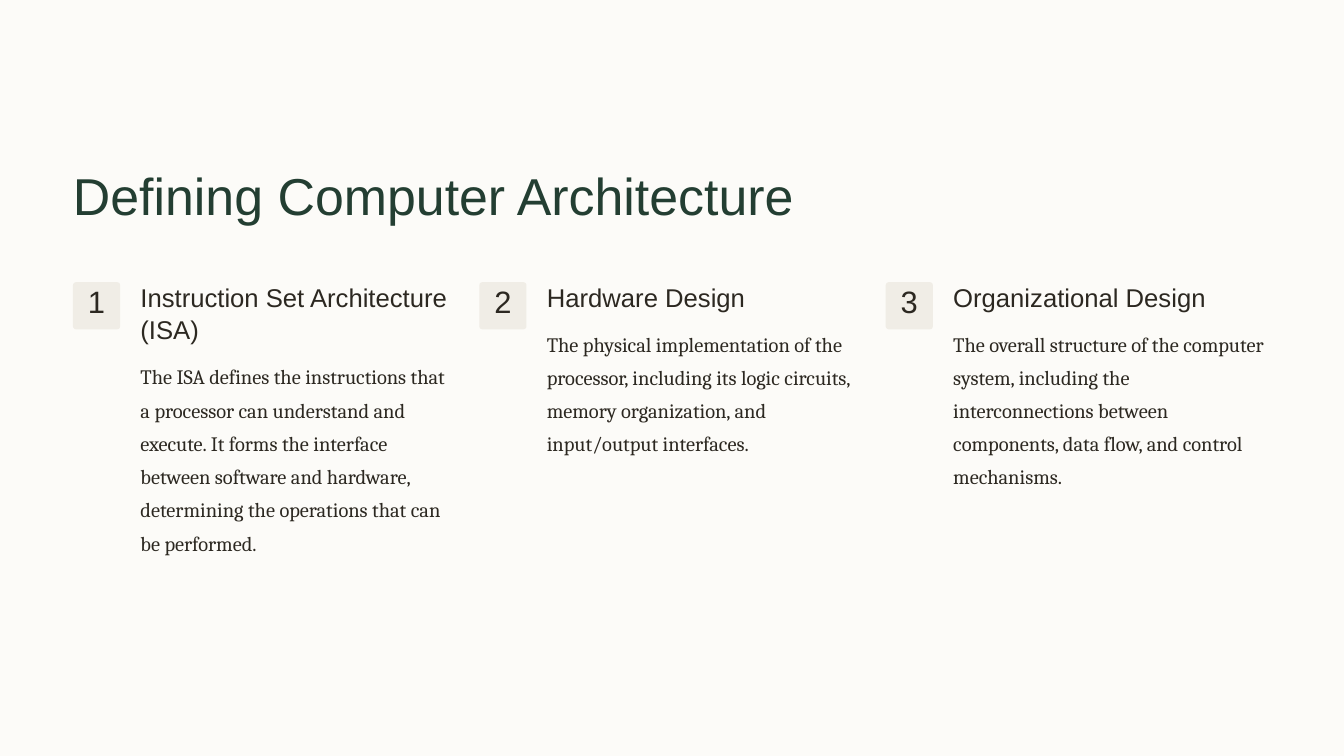
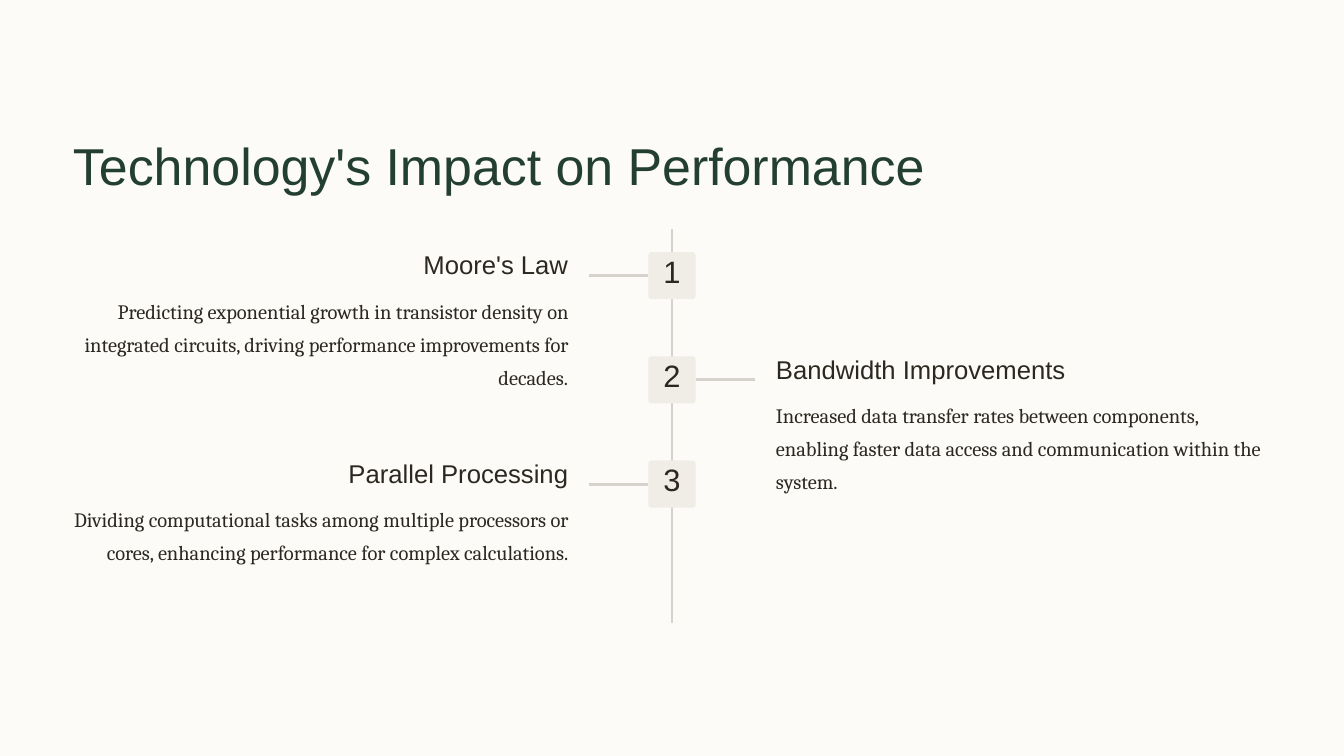
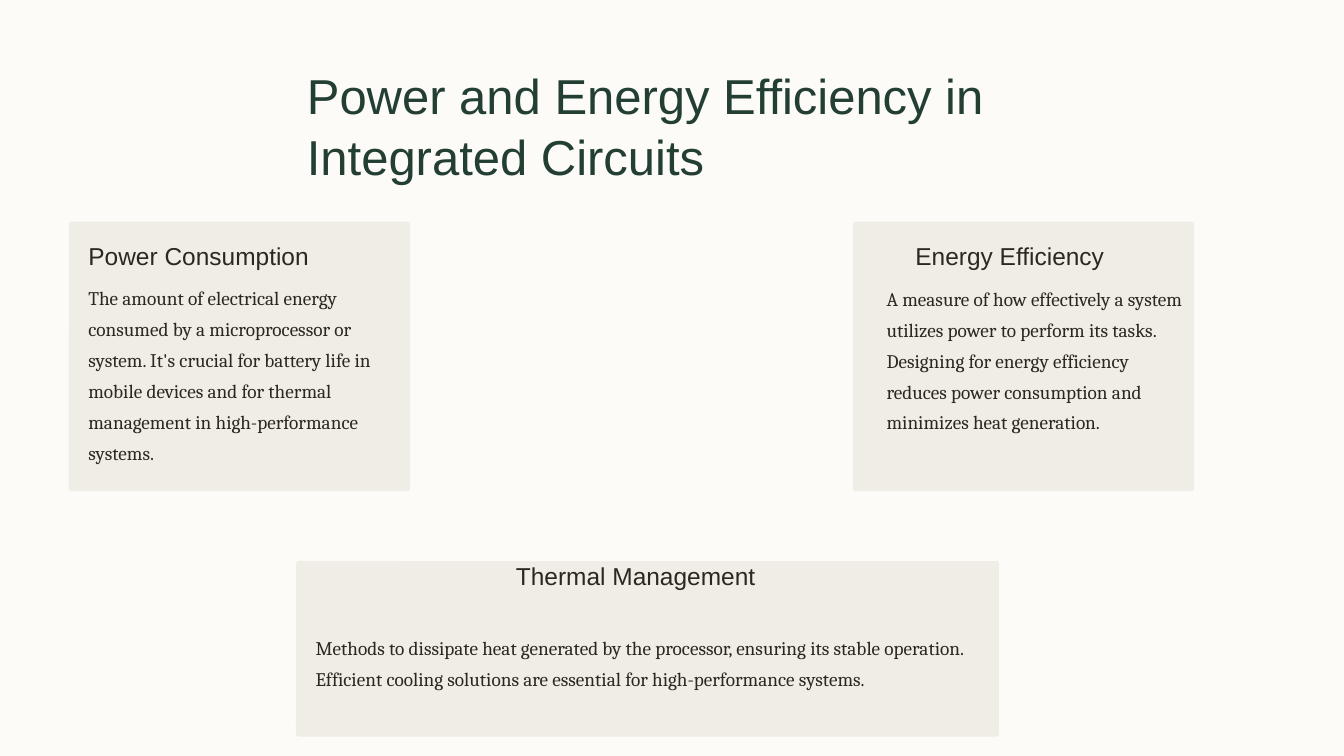
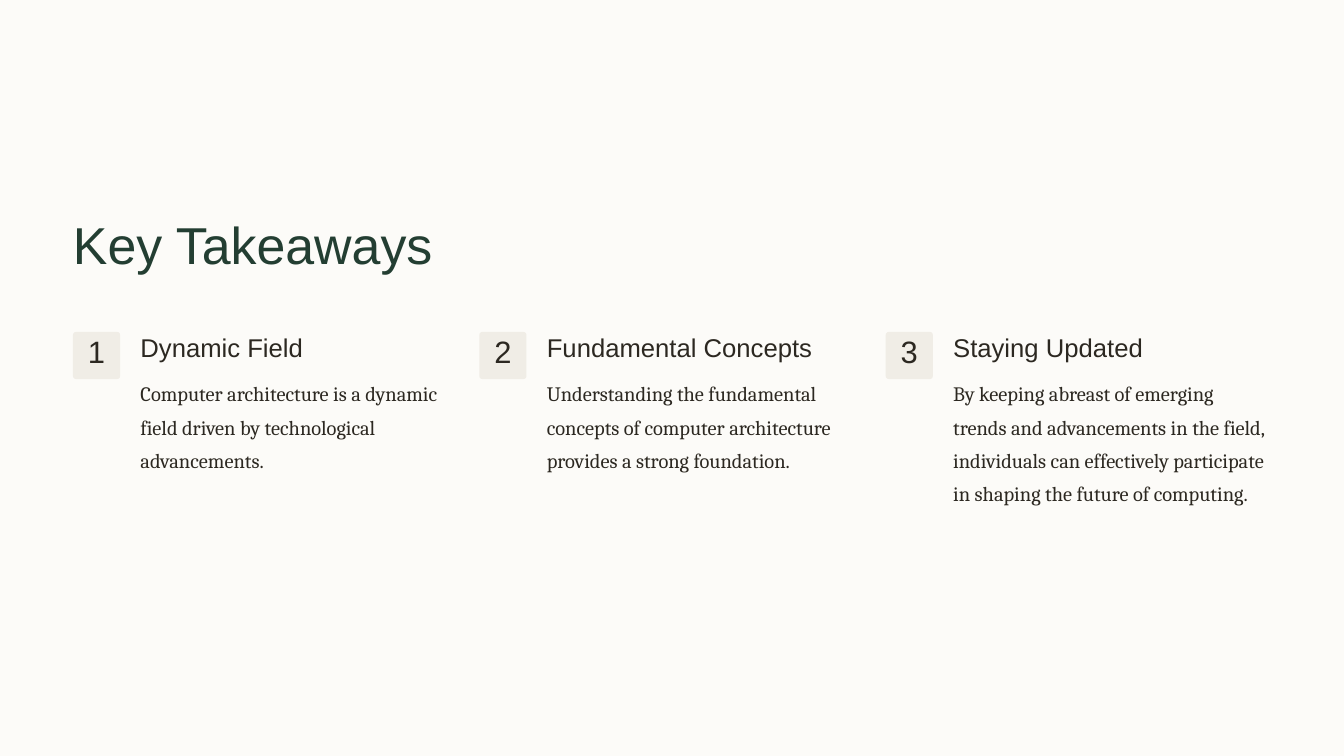
from collections import namedtuple

from lxml import etree
from pptx import Presentation
from pptx.dml.color import RGBColor
from pptx.enum import shapes, text
from pptx.oxml import ns
from pptx.util import Cm, Pt

CREAM = RGBColor(0xFC, 0xFB, 0xF8)
SAND = RGBColor(0xF0, 0xED, 0xE6)
STONE = RGBColor(0xD6, 0xD3, 0xCC)
GREEN = RGBColor(0x23, 0x3E, 0x32)
INK = RGBColor(0x2C, 0x28, 0x21)

LEFT, RIGHT, CENTER = text.PP_ALIGN.LEFT, text.PP_ALIGN.RIGHT, text.PP_ALIGN.CENTER

# All boxes are in centimetres, type sizes and line spacing in points.
Box = namedtuple("Box", "left top width height")
Style = namedtuple("Style", "font size spacing color")
Item = namedtuple("Item", "heading body body_lines heading_lines", defaults=[1])
Card = namedtuple("Card", "box heading heading_at body body_at")

TITLE = Style("Arial", 55.6, 69.4, GREEN)
TITLE_SMALL = Style("Arial", 52.5, 65.6, GREEN)
NUMBER = Style("Arial", 33.1, 33.1, INK)
HEADING = Style("Arial", 27.5, 34.4, INK)
BODY = Style("Cambria", 21.85, 35.62, INK)
CARD_HEADING = Style("Arial", 26.25, 32.5, INK)
CARD_BODY = Style("Cambria", 20.62, 33.1, INK)

PAGE = Box(0, 0, 50.8, 28.58)
MARGIN = 2.76
BADGE = 1.78
COLUMN_PITCH = 15.36
HEADING_LINE = 1.24
BODY_LINE = 1.26
BODY_DROP = 1.59
EVENT_PITCH = 3.94
EVENT_GAP = 3.93
SPOKE = 2.26

DEFINITIONS = [
    Item("Instruction Set Architecture (ISA)",
         "The ISA defines the instructions that a processor can understand and "
         "execute. It forms the interface between software and hardware, "
         "determining the operations that can be performed.", 7, 2),
    Item("Hardware Design",
         "The physical implementation of the processor, including its logic "
         "circuits, memory organization, and input/output interfaces.", 4),
    Item("Organizational Design",
         "The overall structure of the computer system, including the "
         "interconnections between components, data flow, and control "
         "mechanisms.", 5),
]
IMPACTS = [
    Item("Moore's Law",
         "Predicting exponential growth in transistor density on integrated "
         "circuits, driving performance improvements for decades.", 3),
    Item("Bandwidth Improvements",
         "Increased data transfer rates between components, enabling faster "
         "data access and communication within the system.", 3),
    Item("Parallel Processing",
         "Dividing computational tasks among multiple processors or cores, "
         "enhancing performance for complex calculations.", 3),
]
EFFICIENCY = [
    Card(Box(2.6, 8.38, 12.9, 10.19),
         "Power Consumption", Box(0.74, 0.69, 9.27, 1.19),
         "The amount of electrical energy consumed by a microprocessor or "
         "system. It's crucial for battery life in mobile devices and for "
         "thermal management in high-performance systems.",
         Box(0.74, 2.16, 11.43, 7.29)),
    Card(Box(32.24, 8.38, 12.9, 10.19),
         "Energy Efficiency", Box(2.36, 0.69, 9.27, 1.19),
         "A measure of how effectively a system utilizes power to perform its "
         "tasks. Designing for energy efficiency reduces power consumption and "
         "minimizes heat generation.",
         Box(1.27, 2.18, 11.43, 7.29)),
    Card(Box(11.19, 21.21, 26.57, 6.64),
         "Thermal Management", Box(8.31, -0.05, 9.27, 1.19),
         "Methods to dissipate heat generated by the processor, ensuring its "
         "stable operation. Efficient cooling solutions are essential for "
         "high-performance systems.",
         Box(0.74, 2.54, 25.1, 3.73)),
]
TAKEAWAYS = [
    Item("Dynamic Field",
         "Computer architecture is a dynamic field driven by technological "
         "advancements.", 3),
    Item("Fundamental Concepts",
         "Understanding the fundamental concepts of computer architecture "
         "provides a strong foundation.", 4),
    Item("Staying Updated",
         "By keeping abreast of emerging trends and advancements in the field, "
         "individuals can effectively participate in shaping the future of "
         "computing.", 5),
]


def in_cm(box):
    return [Cm(length) for length in box]


def write(shape, words, style, align=LEFT, inset_top=0):
    """Fill a shape with one top-anchored paragraph of fixed line spacing."""
    frame = shape.text_frame
    frame.word_wrap = True
    frame.vertical_anchor = text.MSO_ANCHOR.TOP
    frame.margin_left = frame.margin_right = frame.margin_bottom = 0
    frame.margin_top = Cm(inset_top)
    paragraph = frame.paragraphs[0]
    paragraph.text = words
    paragraph.alignment = align
    paragraph.line_spacing = Pt(style.spacing)
    paragraph.font.name = style.font
    paragraph.font.size = Pt(style.size)
    paragraph.font.color.rgb = style.color


def add_text(slide, box, words, style, align=LEFT):
    write(slide.shapes.add_textbox(*in_cm(box)), words, style, align)


def add_filled(slide, preset, box, color):
    area = slide.shapes.add_shape(preset, *in_cm(box))
    area.shadow.inherit = False
    area.fill.solid()
    area.fill.fore_color.rgb = color
    area.line.fill.background()
    return area


def add_panel(slide, box, radius=0.11):
    panel = add_filled(slide, shapes.MSO_SHAPE.ROUNDED_RECTANGLE, box, SAND)
    panel.adjustments[0] = radius / min(box.width, box.height)
    return panel


def add_badge(slide, left, top, number):
    badge = add_panel(slide, Box(left, top, BADGE, BADGE))
    write(badge, str(number), NUMBER, CENTER, inset_top=0.22)
    return badge


def add_line(slide, x1, y1, x2, y2):
    line = slide.shapes.add_connector(
        shapes.MSO_CONNECTOR.STRAIGHT, Cm(x1), Cm(y1), Cm(x2), Cm(y2))
    line.line.color.rgb = STONE
    line.line.width = Pt(3.1)
    etree.SubElement(line._element.spPr, ns.qn("a:effectLst"))
    return line


def add_item_text(slide, left, top, width, item, align=LEFT):
    """Heading with its body text below, moved down by extra heading lines."""
    heading_height = item.heading_lines * HEADING_LINE
    add_text(slide, Box(left, top, width, heading_height), item.heading, HEADING, align)
    body_top = top + BODY_DROP + heading_height - HEADING_LINE
    body_height = item.body_lines * BODY_LINE + 0.15
    add_text(slide, Box(left, body_top, width, body_height), item.body, BODY, align)


def add_numbered_columns(slide, left, top, items):
    for index, item in enumerate(items):
        column_left = left + index * COLUMN_PITCH
        add_badge(slide, column_left, top, index + 1)
        add_item_text(slide, column_left + 2.55, top - 0.05, 12.01, item)


def add_timeline(slide, box, items):
    """Vertical spine with events that alternate left and right."""
    center = box.left + box.width / 2
    text_width = box.width / 2 - EVENT_GAP
    add_line(slide, center, box.top, center, box.top + box.height)
    for index, item in enumerate(items):
        top = box.top + 0.87 + index * EVENT_PITCH
        badge = add_badge(slide, center - BADGE / 2, top, index + 1)
        on_left = index % 2 == 0
        side = -1 if on_left else 1
        badge_edge = center + side * BADGE / 2
        middle = top + BADGE / 2
        spoke = add_line(slide, badge_edge, middle, badge_edge + side * SPOKE, middle)
        spoke.begin_connect(badge, 1 if on_left else 3)
        text_left = box.left if on_left else center + EVENT_GAP
        add_item_text(slide, text_left, top - 0.16, text_width, item,
                      RIGHT if on_left else LEFT)


def add_card(slide, card):
    add_panel(slide, card.box)
    for words, at, style in ((card.heading, card.heading_at, CARD_HEADING),
                             (card.body, card.body_at, CARD_BODY)):
        place = at._replace(left=card.box.left + at.left, top=card.box.top + at.top)
        add_text(slide, place, words, style)


def add_titled_slide(prs, title, box, style=TITLE):
    slide = prs.slides.add_slide(prs.slide_layouts[6])
    add_filled(slide, shapes.MSO_SHAPE.RECTANGLE, PAGE, CREAM)
    add_text(slide, box, title, style)
    return slide


def main():
    prs = Presentation()
    prs.slide_width, prs.slide_height = Cm(PAGE.width), Cm(PAGE.height)

    definition = add_titled_slide(
        prs, "Defining Computer Architecture", Box(MARGIN, 6.1, 28.68, 2.51))
    add_numbered_columns(definition, MARGIN, 10.67, DEFINITIONS)

    impact = add_titled_slide(
        prs, "Technology's Impact on Performance", Box(MARGIN, 4.95, 32.49, 2.51))
    add_timeline(impact, Box(MARGIN, 8.66, 45.28, 14.91), IMPACTS)

    efficiency = add_titled_slide(
        prs, "Power and Energy Efficiency in Integrated Circuits",
        Box(11.6, 2.37, 26.57, 4.7), TITLE_SMALL)
    for card in EFFICIENCY:
        add_card(efficiency, card)

    takeaways = add_titled_slide(
        prs, "Key Takeaways", Box(MARGIN, 7.96, 26.75, 2.92))
    add_numbered_columns(takeaways, MARGIN, 12.55, TAKEAWAYS)

    prs.save("out.pptx")


if __name__ == "__main__":
    main()
